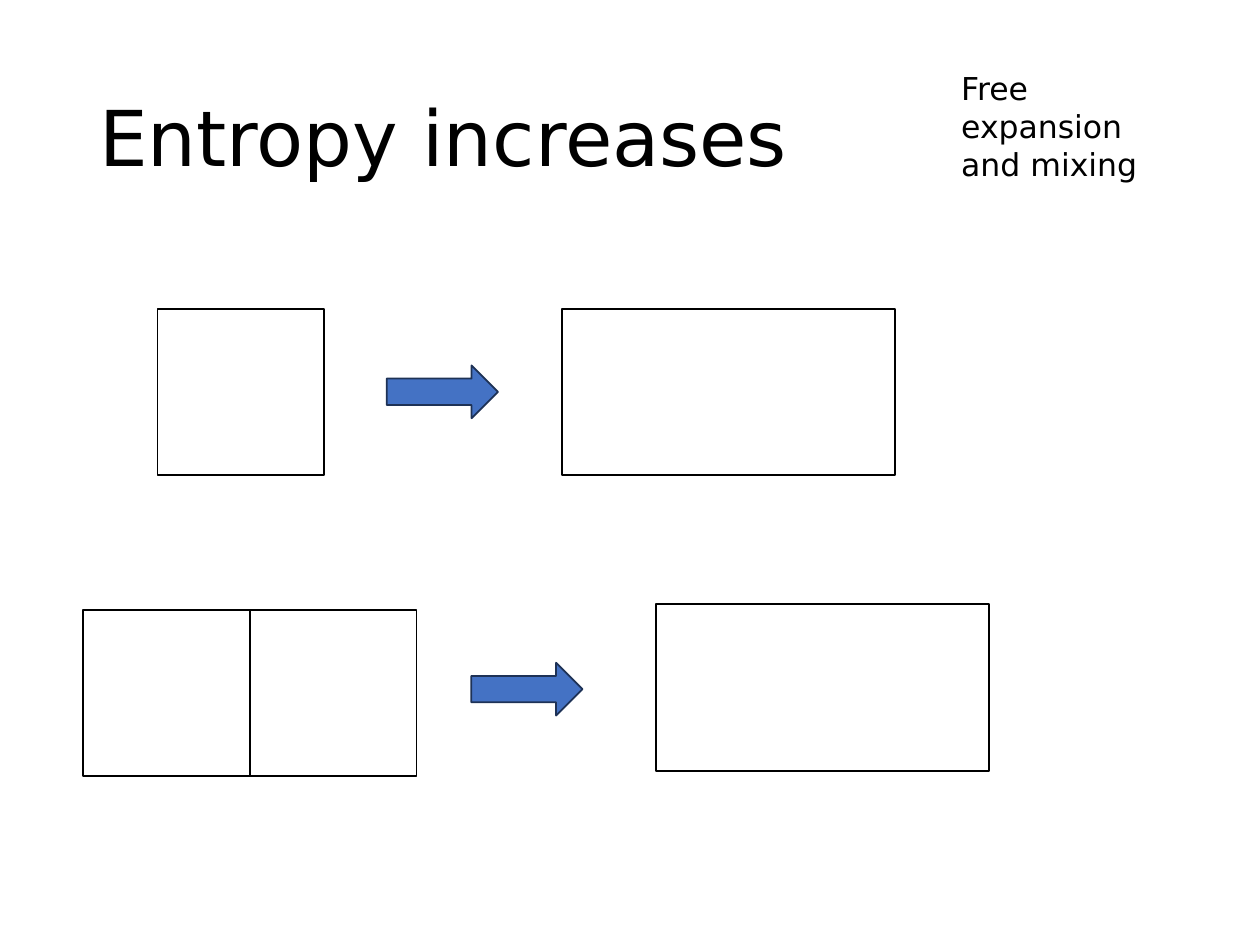
from pptx import Presentation
from pptx.dml.color import RGBColor
from pptx.enum.shapes import MSO_SHAPE as Preset
from pptx.enum.text import MSO_ANCHOR as Anchor, MSO_AUTO_SIZE as AutoSize, PP_ALIGN as Align
from pptx.util import Pt

FONT = "DejaVu Sans"
BLACK, BLUE, NAVY = "000000", "4472C4", "1E3256"
CELL = 95.2  # side of one gas chamber
ARROW_WIDTH, ARROW_HEIGHT = 63.6, 30.2


def color(value):
    return RGBColor.from_string(value)


def format_text(frame, text, size):
    frame.text = text
    frame.word_wrap = True
    para = frame.paragraphs[0]
    para.alignment = Align.LEFT
    font = para.runs[0].font
    font.name, font.size = FONT, Pt(size)
    font.color.rgb = color(BLACK)
    return para


def add_title(page, left, top, width, height):
    title = page.shapes.title
    title.left, title.top, title.width, title.height = map(Pt, (left, top, width, height))
    para = format_text(title.text_frame, "Entropy increases", 44)
    para.line_spacing = 0.9
    title.text_frame.vertical_anchor = Anchor.MIDDLE


def add_caption(page, left, top, width, height):
    box = page.shapes.add_textbox(*map(Pt, (left, top, width, height)))
    format_text(box.text_frame, "Free expansion and mixing", 18)
    box.text_frame.auto_size = AutoSize.SHAPE_TO_FIT_TEXT


def add_outline(page, preset, left, top, width, height, line, fill=None):
    shape = page.shapes.add_shape(preset, *map(Pt, (left, top, width, height)))
    shape.shadow.inherit = False
    shape.line.color.rgb = color(line)
    shape.line.width = Pt(1)
    if fill:
        shape.fill.solid()
        shape.fill.fore_color.rgb = color(fill)
    else:
        shape.fill.background()


def add_process(page, left, top, chambers, arrow, result):
    """Draw chambers, an arrow and the double-size result; arrow and result are (x, y) offsets."""
    # Initial chambers, side by side
    for index in range(chambers):
        add_outline(page, Preset.RECTANGLE, left + index * CELL, top, CELL, CELL, BLACK)
    # Final volume
    add_outline(page, Preset.RECTANGLE, left + result[0], top + result[1],
                2 * CELL, CELL, BLACK)
    # Direction of change
    add_outline(page, Preset.RIGHT_ARROW, left + arrow[0], top + arrow[1],
                ARROW_WIDTH, ARROW_HEIGHT, NAVY, BLUE)


def main():
    deck = Presentation()
    deck.slide_width, deck.slide_height = Pt(720), Pt(540)
    page = deck.slides.add_slide(deck.slide_layouts[5])

    add_title(page, 49.5, 28.8, 621, 104.4)
    # Free expansion
    add_process(page, 90, 176.4, 1, arrow=(131, 32.4), result=(231.2, 0))
    # Mixing
    add_process(page, 47.6, 348.5, 2, arrow=(221.7, 30.2), result=(327.3, -3.2))
    add_caption(page, 542.2, 36, 125.3, 72.7)

    deck.save("out.pptx")


if __name__ == "__main__":
    main()
